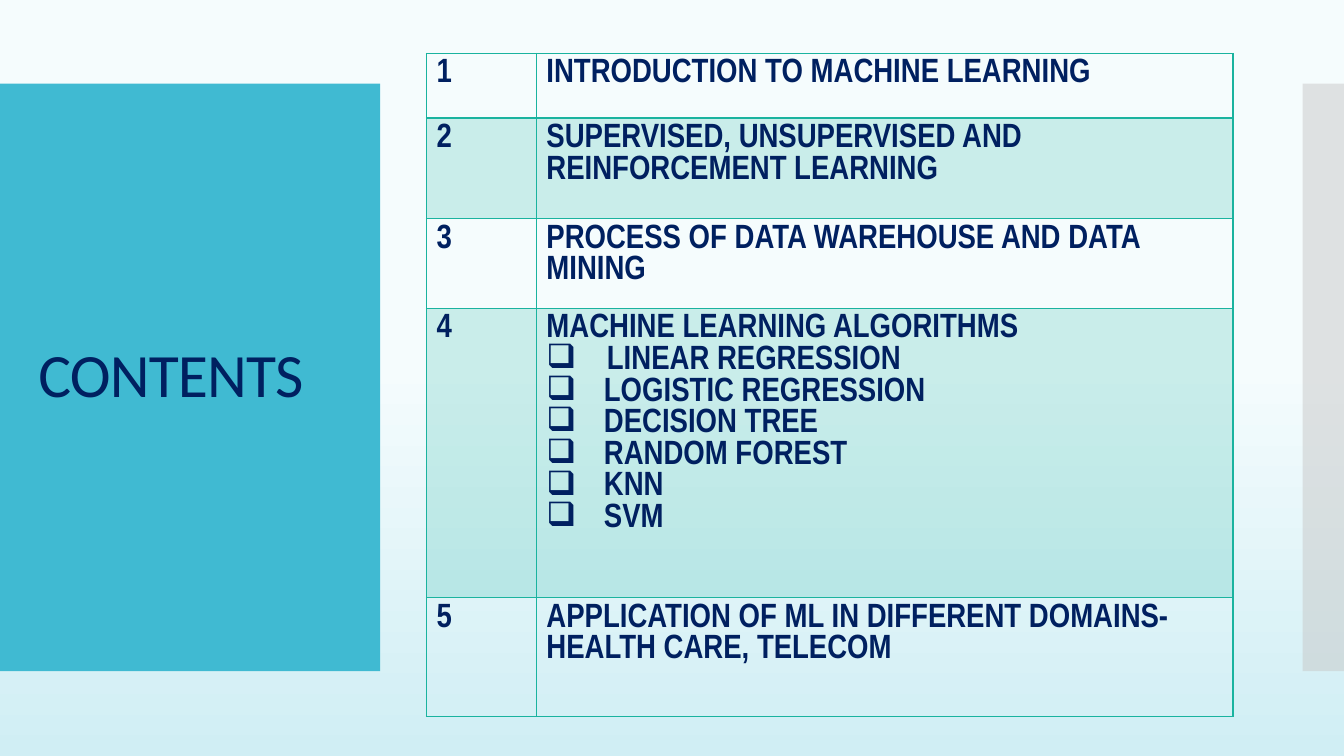
from lxml.etree import SubElement
from pptx import Presentation
from pptx.dml.color import RGBColor
from pptx.enum.shapes import MSO_SHAPE
from pptx.enum.text import MSO_ANCHOR, PP_ALIGN
from pptx.oxml.ns import qn
from pptx.util import Inches, Pt

NAVY, TEAL, BLUE, GREY = "002060", "1AB39F", "40BAD2", "C8C8C8"
BACKGROUND_STOPS = [(0.48, "F5FCFD"), (1, "D0EEF4")]

TITLE = "CONTENTS"
# Each topic: row height, heading, list of (subtopic, hanging indent)
TOPICS = [
    (0.64, "INTRODUCTION TO MACHINE LEARNING", []),
    (1.0, "SUPERVISED, UNSUPERVISED AND REINFORCEMENT LEARNING", []),
    (0.89, "PROCESS OF DATA WAREHOUSE AND DATA MINING", []),
    (2.87, "MACHINE LEARNING ALGORITHMS", [
        ("LINEAR REGRESSION", 0.6),
        ("LOGISTIC REGRESSION", 0.57),
        ("DECISION TREE", 0.57),
        ("RANDOM FOREST", 0.57),
        ("KNN", 0.57),
        ("SVM", 0.57),
    ]),
    (1.18, "APPLICATION OF ML IN DIFFERENT DOMAINS-HEALTH CARE, TELECOM", []),
]
COLUMN_WIDTHS = [1.09, 6.91]
# Side panels: left, width, colour, opacity in percent
PANELS = [(0, 3.77, BLUE, 100), (12.92, 0.42, GREY, 50)]
PANEL_TOP, PANEL_HEIGHT = 0.83, 5.83


def rgb(value):
    return RGBColor.from_string(value)


def fill_solid(fill, color, opacity=100):
    fill.solid()
    fill.fore_color.rgb = rgb(color)
    if opacity < 100:
        # The colour element is the only descendant of its kind in this fill
        color_element = fill._xPr.find(qn("a:solidFill")).find(qn("a:srgbClr"))
        SubElement(color_element, qn("a:alpha"), val=str(opacity * 1000))


def write(paragraph, text, font="Arial Narrow", size=24, bold=True, hanging=None):
    if hanging:
        properties = paragraph._p.get_or_add_pPr()
        properties.set("marL", str(Inches(hanging)))
        properties.set("indent", str(-Inches(hanging)))
        SubElement(properties, qn("a:buChar"), char="❑")
    run = paragraph.add_run()
    run.text = text
    run.font.name = font
    run.font.size = Pt(size)
    run.font.bold = bold
    run.font.color.rgb = rgb(NAVY)
    return run


def add_borders(cell, widths):
    """Draw cell edges; widths gives points for left, right, top and bottom."""
    properties = cell._tc.get_or_add_tcPr()
    for position, (side, width) in enumerate(zip("LRTB", widths)):
        line = SubElement(properties, qn(f"a:ln{side}"), w=str(Pt(width)))
        solid = SubElement(line, qn("a:solidFill"))
        SubElement(solid, qn("a:srgbClr"), val=TEAL)
        properties.insert(position, line)


def set_background(slide):
    fill = slide.background.fill
    fill.gradient()
    fill.gradient_angle = 270
    for stop, (position, color) in zip(fill.gradient_stops, BACKGROUND_STOPS):
        stop.position = position
        stop.color.rgb = rgb(color)


def add_title(slide):
    title = slide.shapes.title
    title.left, title.top = Inches(0.28), Inches(1.23)
    title.width, title.height = Inches(3.22), Inches(5.03)
    frame = title.text_frame
    frame.word_wrap = True
    frame.vertical_anchor = MSO_ANCHOR.MIDDLE
    heading = frame.paragraphs[0]
    heading.alignment = PP_ALIGN.LEFT
    heading.line_spacing = 0.9
    run = write(heading, TITLE, font="Calibri", size=44, bold=False)
    run.font._element.set("spc", "-60")


def add_panels(slide):
    for left, width, color, opacity in PANELS:
        panel = slide.shapes.add_shape(
            MSO_SHAPE.RECTANGLE, Inches(left), Inches(PANEL_TOP),
            Inches(width), Inches(PANEL_HEIGHT))
        panel.shadow.inherit = False
        panel.line.fill.background()
        fill_solid(panel.fill, color, opacity)
        slide.shapes.title.element.addprevious(panel.element)


def add_contents(slide):
    heights = [height for height, _, _ in TOPICS]
    table = slide.shapes.add_table(
        len(TOPICS), len(COLUMN_WIDTHS), Inches(4.23), Inches(0.53),
        Inches(sum(COLUMN_WIDTHS)), Inches(sum(heights))).table
    table.first_row = table.horz_banding = False
    for column, width in zip(table.columns, COLUMN_WIDTHS):
        column.width = Inches(width)
    for index, (height, heading, subtopics) in enumerate(TOPICS):
        table.rows[index].height = Inches(height)
        number_cell, topic_cell = table.rows[index].cells
        write(number_cell.text_frame.paragraphs[0], str(index + 1))
        write(topic_cell.text_frame.paragraphs[0], heading)
        for subtopic, hanging in subtopics:
            write(topic_cell.text_frame.add_paragraph(), subtopic, hanging=hanging)
        top = 2 if index == 1 else 1
        bottom = 2 if index == 0 else 1
        for cell in (number_cell, topic_cell):
            if index % 2:
                fill_solid(cell.fill, TEAL, 20)
            else:
                cell.fill.background()
            add_borders(cell, (1, 1, top, bottom))


def main():
    presentation = Presentation()
    presentation.slide_width = Inches(13.33)
    presentation.slide_height = Inches(7.5)
    slide = presentation.slides.add_slide(presentation.slide_layouts[5])
    set_background(slide)
    add_title(slide)
    add_panels(slide)
    add_contents(slide)
    presentation.save("out.pptx")


if __name__ == "__main__":
    main()
